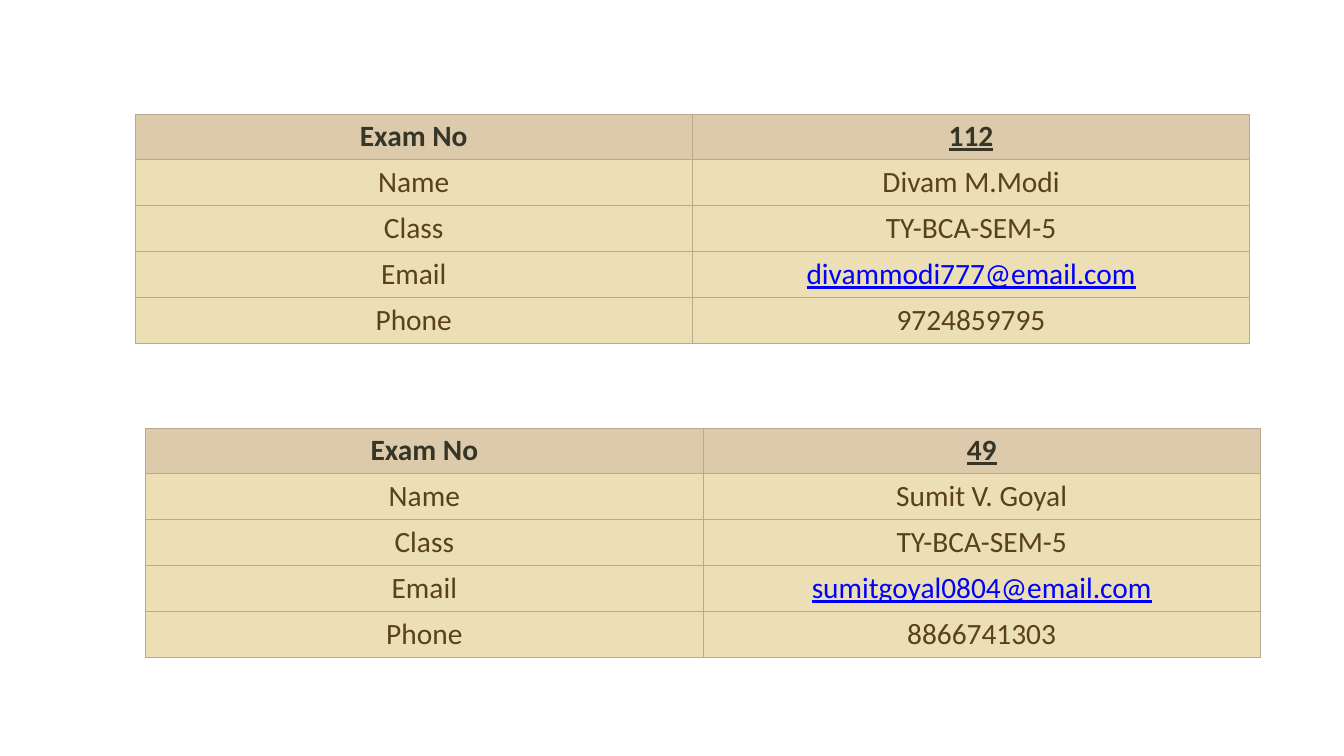
from lxml.etree import SubElement
from pptx import Presentation
from pptx.dml.color import RGBColor
from pptx.enum.text import MSO_ANCHOR, PP_ALIGN
from pptx.oxml.ns import qn
from pptx.util import Inches, Pt

LABELS = ["Exam No", "Name", "Class", "Email", "Phone"]
# (left, top) in inches, then one value for each label
STUDENTS = [
    ((2.68, 2.26), ["112", "Divam M.Modi", "TY-BCA-SEM-5",
                    "divammodi777@email.com", "9724859795"]),
    ((2.89, 8.49), ["49", "Sumit V. Goyal", "TY-BCA-SEM-5",
                    "sumitgoyal0804@email.com", "8866741303"]),
]

SLIDE_W, SLIDE_H = 26.67, 15
COLUMN_W, ROW_H = 11.06, 0.91
CELL_MARGIN = Inches(0.06)

HEADER_FILL = RGBColor(0xDC, 0xCA, 0xAB)
BODY_FILL = RGBColor(0xEC, 0xDE, 0xB5)
BORDER = RGBColor(0xB8, 0xA9, 0x92)
HEADER_TEXT = RGBColor(0x35, 0x35, 0x28)
BODY_TEXT = RGBColor(0x59, 0x41, 0x1C)
EMAIL_TEXT = RGBColor(0x00, 0x00, 0xFF)


def set_borders(cell):
    properties = cell._tc.get_or_add_tcPr()
    for position, side in enumerate(("lnL", "lnR", "lnT", "lnB")):
        line = SubElement(properties, qn(f"a:{side}"), w=str(Pt(1)))
        fill = SubElement(line, qn("a:solidFill"))
        SubElement(fill, qn("a:srgbClr"), val=str(BORDER))
        properties.insert(position, line)  # borders precede the cell fill


def fill_cell(cell, content, is_header, is_value, is_email):
    cell.fill.solid()
    cell.fill.fore_color.rgb = HEADER_FILL if is_header else BODY_FILL
    set_borders(cell)
    cell.margin_left = cell.margin_right = CELL_MARGIN
    cell.margin_top = cell.margin_bottom = CELL_MARGIN
    cell.vertical_anchor = MSO_ANCHOR.MIDDLE

    paragraph = cell.text_frame.paragraphs[0]
    paragraph.text = content
    paragraph.alignment = PP_ALIGN.CENTER
    font = paragraph.runs[0].font
    font.name = "Calibri"
    font.size = Pt(42)
    font.bold = is_header
    font.underline = is_value and (is_header or is_email)
    if is_header:
        font.color.rgb = HEADER_TEXT
    else:
        font.color.rgb = EMAIL_TEXT if is_value and is_email else BODY_TEXT


def add_student(slide, left, top, values):
    frame = slide.shapes.add_table(
        len(LABELS), 2, Inches(left), Inches(top),
        Inches(2 * COLUMN_W), Inches(ROW_H * len(LABELS)))
    table = frame.table
    for column in table.columns:
        column.width = Inches(COLUMN_W)
    for row, (label, value) in enumerate(zip(LABELS, values)):
        table.rows[row].height = Inches(ROW_H)
        for column, content in enumerate((label, value)):
            fill_cell(table.cell(row, column), content, is_header=row == 0,
                      is_value=column == 1, is_email=label == "Email")


def main():
    presentation = Presentation()
    presentation.slide_width = Inches(SLIDE_W)
    presentation.slide_height = Inches(SLIDE_H)
    slide = presentation.slides.add_slide(presentation.slide_layouts[6])
    for (left, top), values in STUDENTS:
        add_student(slide, left, top, values)
    presentation.save("out.pptx")


if __name__ == "__main__":
    main()
